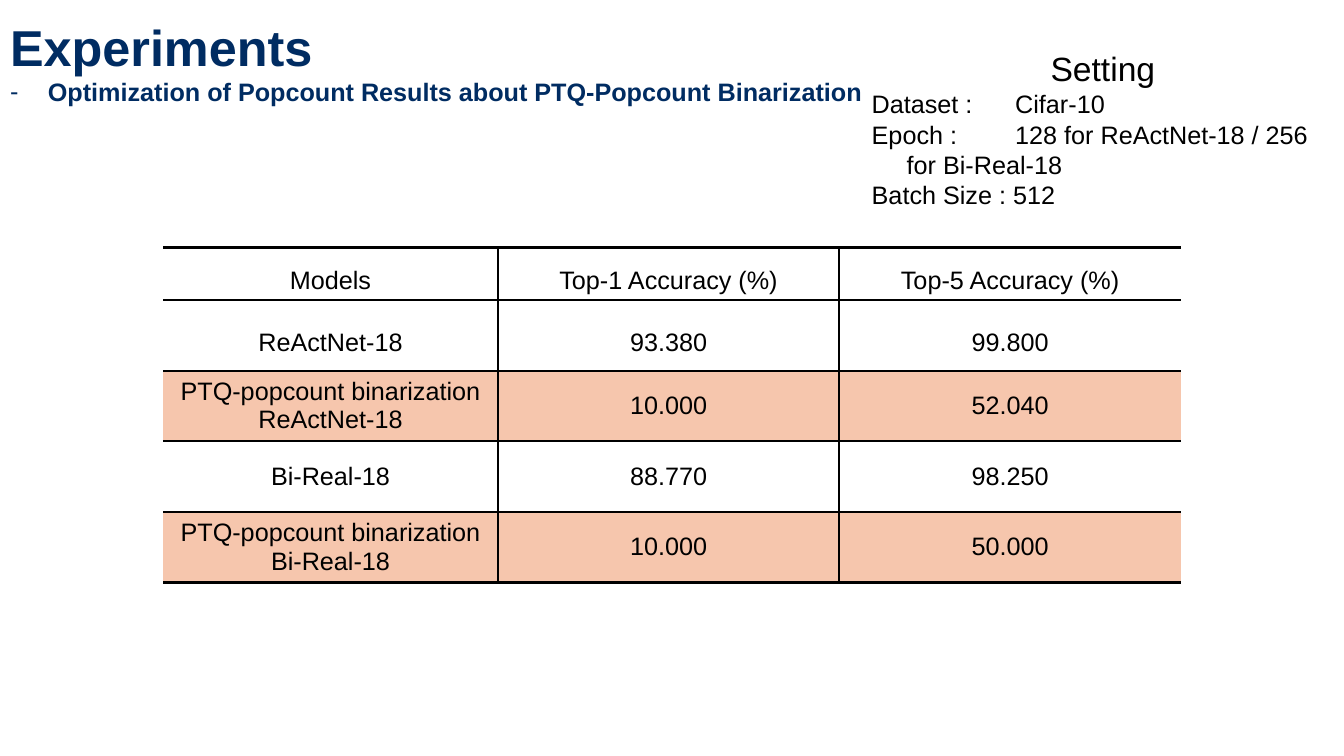
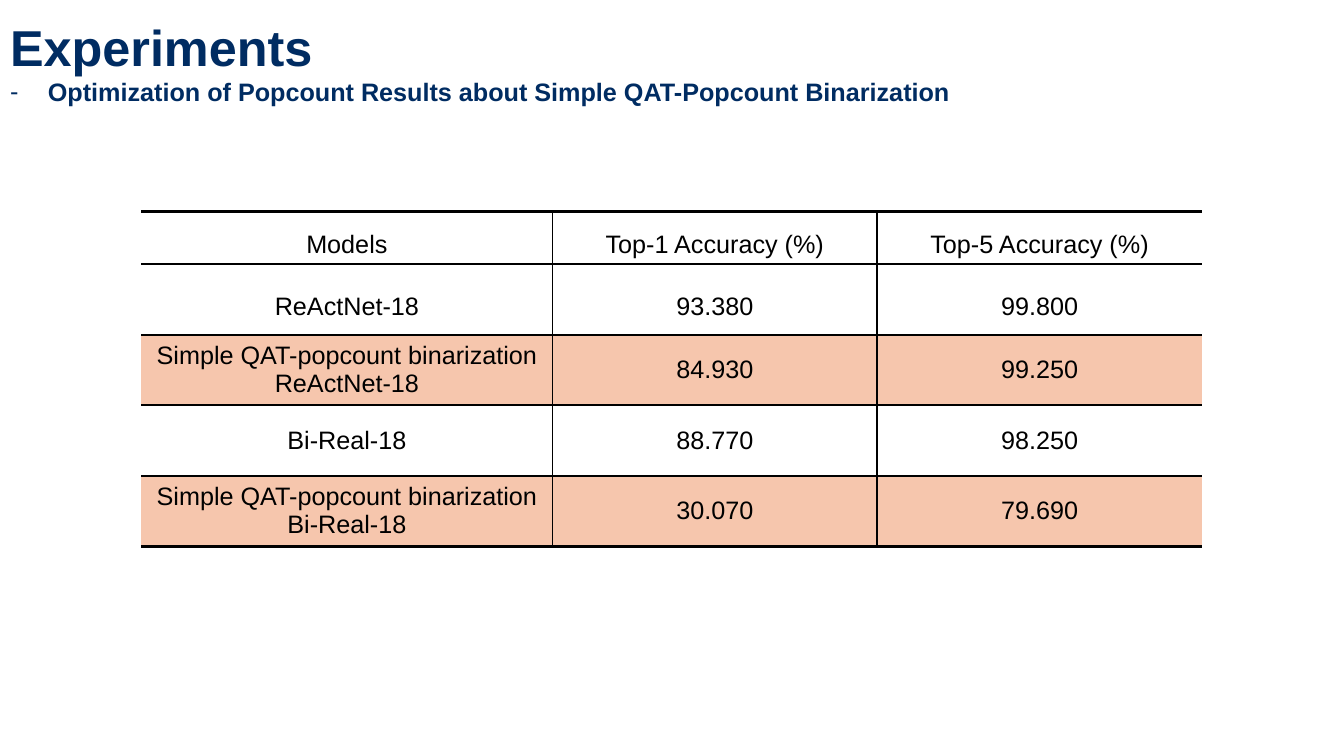
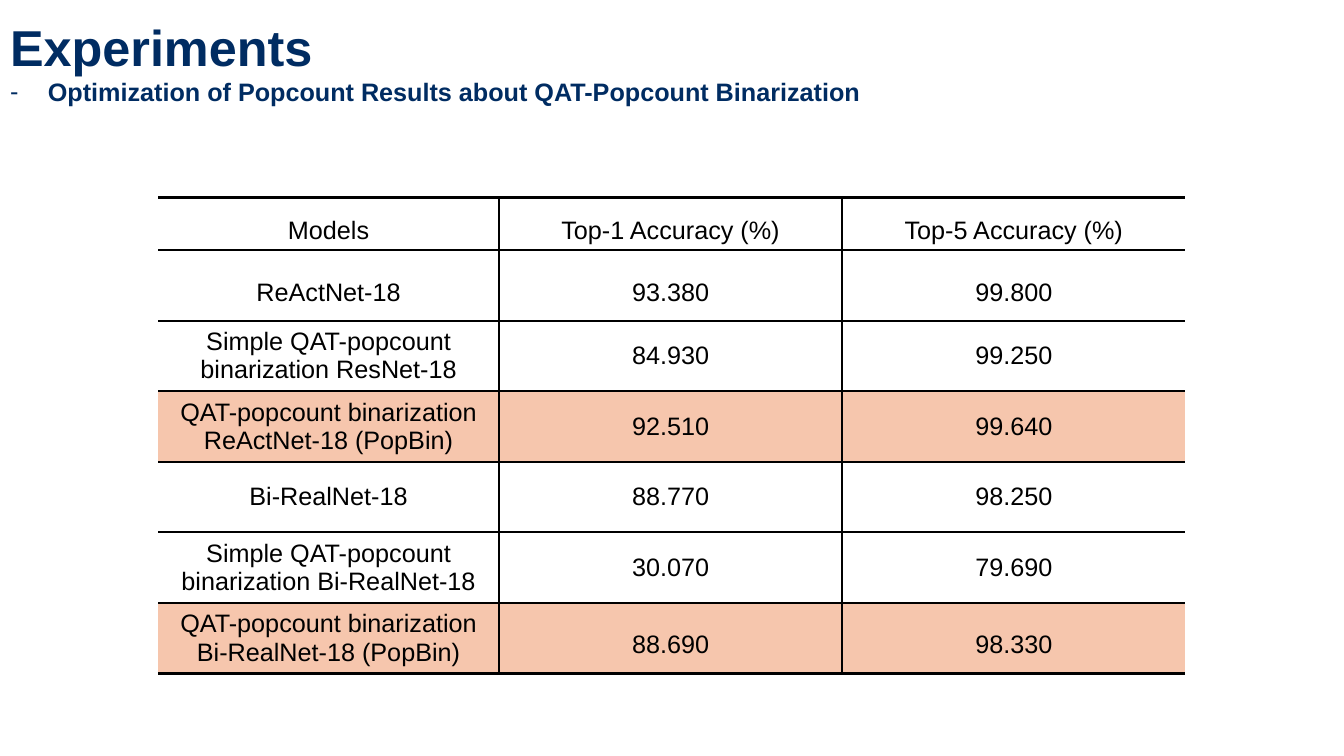
"""Build three slides of popcount binarization results."""
from lxml.etree import SubElement
from pptx import Presentation
from pptx.dml.color import RGBColor
from pptx.enum.text import MSO_ANCHOR as Anchor, MSO_AUTO_SIZE as AutoSize, PP_ALIGN as Align
from pptx.oxml.ns import qn
from pptx.util import Pt

NAVY = RGBColor(0x00, 0x2C, 0x62)
BLACK = RGBColor(0x00, 0x00, 0x00)
PEACH = RGBColor(0xF6, 0xC6, 0xAD)
FONT = "Arial"
SLIDE_W, SLIDE_H = 960, 540
TITLE_H = 88
HEADER_H, ROW_H = 26.6, 50.4
THIN, THICK = 1.5, 2.25
TITLE = "Experiments"
HEADER = ("Models", "Top-1 Accuracy (%)", "Top-5 Accuracy (%)")
SETTING_TITLE = "Setting"
SETTING_LINES = (
    "Dataset :\tCifar-10",
    "Epoch :\t128 for ReActNet-18 / 256\v\tfor Bi-Real-18",
    "Batch Size : 512",
)
SETTING_BOX = (615.6, 31, 344.4, 124)
SETTING_TABS = (25, 102.5)

EXPERIMENTS = (
    {
        "topic": "Optimization of Popcount Results about PTQ-Popcount Binarization",
        "title_width": 643,
        "table_at": (116.6, 177),
        "columns": (239, 244, 244),
        "rows": (
            ("ReActNet-18", "93.380", "99.800"),
            ("PTQ-popcount binarization\nReActNet-18", "10.000", "52.040"),
            ("Bi-Real-18", "88.770", "98.250"),
            ("PTQ-popcount binarization\nBi-Real-18", "10.000", "50.000"),
        ),
        "highlighted": (2, 4),
        "setting": True,
    },
    {
        "topic": "Optimization of Popcount Results about Simple QAT-Popcount Binarization",
        "table_at": (101, 151.2),
        "columns": (293.6, 232, 232),
        "rows": (
            ("ReActNet-18", "93.380", "99.800"),
            ("Simple QAT-popcount binarization\nReActNet-18", "84.930", "99.250"),
            ("Bi-Real-18", "88.770", "98.250"),
            ("Simple QAT-popcount binarization\nBi-Real-18", "30.070", "79.690"),
        ),
        "highlighted": (2, 4),
    },
    {
        "topic": "Optimization of Popcount Results about QAT-Popcount Binarization",
        "table_at": (113, 141.2),
        "columns": (243.4, 245.2, 245.2),
        "rows": (
            ("ReActNet-18", "93.380", "99.800"),
            ("Simple QAT-popcount binarization ResNet-18", "84.930", "99.250"),
            ("QAT-popcount binarization\nReActNet-18 (PopBin)", "92.510", "99.640"),
            ("Bi-RealNet-18", "88.770", "98.250"),
            ("Simple QAT-popcount binarization Bi-RealNet-18", "30.070", "79.690"),
            ("QAT-popcount binarization\nBi-RealNet-18 (PopBin)", "88.690", "98.330"),
        ),
        "highlighted": (3, 6),
        "loose_cells": ((6, 1), (6, 2)),
    },
)


def write(paragraph, text, size=18, color=BLACK, bold=False, align=Align.LEFT):
    paragraph.alignment = align
    for index, part in enumerate(text.split("\v")):
        if index:
            paragraph.add_line_break()
        run = paragraph.add_run()
        run.text = part
        run.font.name, run.font.size, run.font.bold = FONT, Pt(size), bold
        run.font.color.rgb = color


def place(shape, left, top, width, height):
    shape.left, shape.top, shape.width, shape.height = map(Pt, (left, top, width, height))


def add_title(slide, topic, width):
    title = slide.shapes.title
    place(title, 0, 0, width, TITLE_H)
    frame = title.text_frame
    frame.auto_size, frame.word_wrap = AutoSize.NONE, True
    frame.vertical_anchor = Anchor.MIDDLE
    write(frame.paragraphs[0], TITLE, 36, NAVY, True)
    subtitle = frame.add_paragraph()
    props = subtitle._p.get_or_add_pPr()
    props.set("marL", str(Pt(27)))
    props.set("indent", str(-Pt(27)))
    SubElement(props, qn("a:buFont"), typeface=FONT)
    SubElement(props, qn("a:buChar"), char="-")
    write(subtitle, topic, 18, NAVY, True)


def add_setting(slide):
    frame = slide.shapes.add_textbox(*map(Pt, SETTING_BOX)).text_frame
    frame.word_wrap = True
    write(frame.paragraphs[0], SETTING_TITLE, 24, align=Align.CENTER)
    for line in SETTING_LINES:
        paragraph = frame.add_paragraph()
        tabs = SubElement(paragraph._p.get_or_add_pPr(), qn("a:tabLst"))
        for stop in SETTING_TABS:
            SubElement(tabs, qn("a:tab"), pos=str(Pt(stop)), algn="l")
        write(paragraph, line)


def set_borders(cell, left, right, top, bottom):
    props = cell._tc.get_or_add_tcPr()
    for side, width in zip("LRTB", (left, right, top, bottom)):
        border = SubElement(props, qn(f"a:ln{side}"), w=str(Pt(width)))
        if width:
            fill = SubElement(border, qn("a:solidFill"))
            SubElement(fill, qn("a:srgbClr"), val=str(BLACK))
        else:
            SubElement(border, qn("a:noFill"))


def add_results(slide, experiment):
    rows = (HEADER, *experiment["rows"])
    columns = experiment["columns"]
    heights = [HEADER_H] + [ROW_H] * (len(rows) - 1)
    box = (*experiment["table_at"], sum(columns), sum(heights))
    table = slide.shapes.add_table(len(rows), len(columns), *map(Pt, box)).table
    table.first_row = table.horz_banding = False
    for column, width in zip(table.columns, columns):
        column.width = Pt(width)
    last_row, last_col = len(rows) - 1, len(columns) - 1
    for r, values in enumerate(rows):
        table.rows[r].height = Pt(heights[r])
        for c, value in enumerate(values):
            cell = table.cell(r, c)
            cell.vertical_anchor = Anchor.MIDDLE
            set_borders(cell, THIN if c else 0, THIN if c < last_col else 0,
                        THIN if r else THICK, THIN if r < last_row else THICK)
            if r in experiment["highlighted"]:
                cell.fill.solid()
                cell.fill.fore_color.rgb = PEACH
            else:
                cell.fill.background()
            loose = r < 2 or (r, c) in experiment.get("loose_cells", ())
            frame = cell.text_frame
            for index, line in enumerate(value.split("\n")):
                paragraph = frame.add_paragraph() if index else frame.paragraphs[0]
                if loose:
                    paragraph.line_spacing = 1.5
                write(paragraph, line, align=Align.CENTER)


def main():
    deck = Presentation()
    deck.slide_width, deck.slide_height = Pt(SLIDE_W), Pt(SLIDE_H)
    title_only = deck.slide_layouts[5]
    for experiment in EXPERIMENTS:
        slide = deck.slides.add_slide(title_only)
        add_results(slide, experiment)
        add_title(slide, experiment["topic"], experiment.get("title_width", SLIDE_W))
        if experiment.get("setting"):
            add_setting(slide)
    deck.save("out.pptx")


if __name__ == "__main__":
    main()
